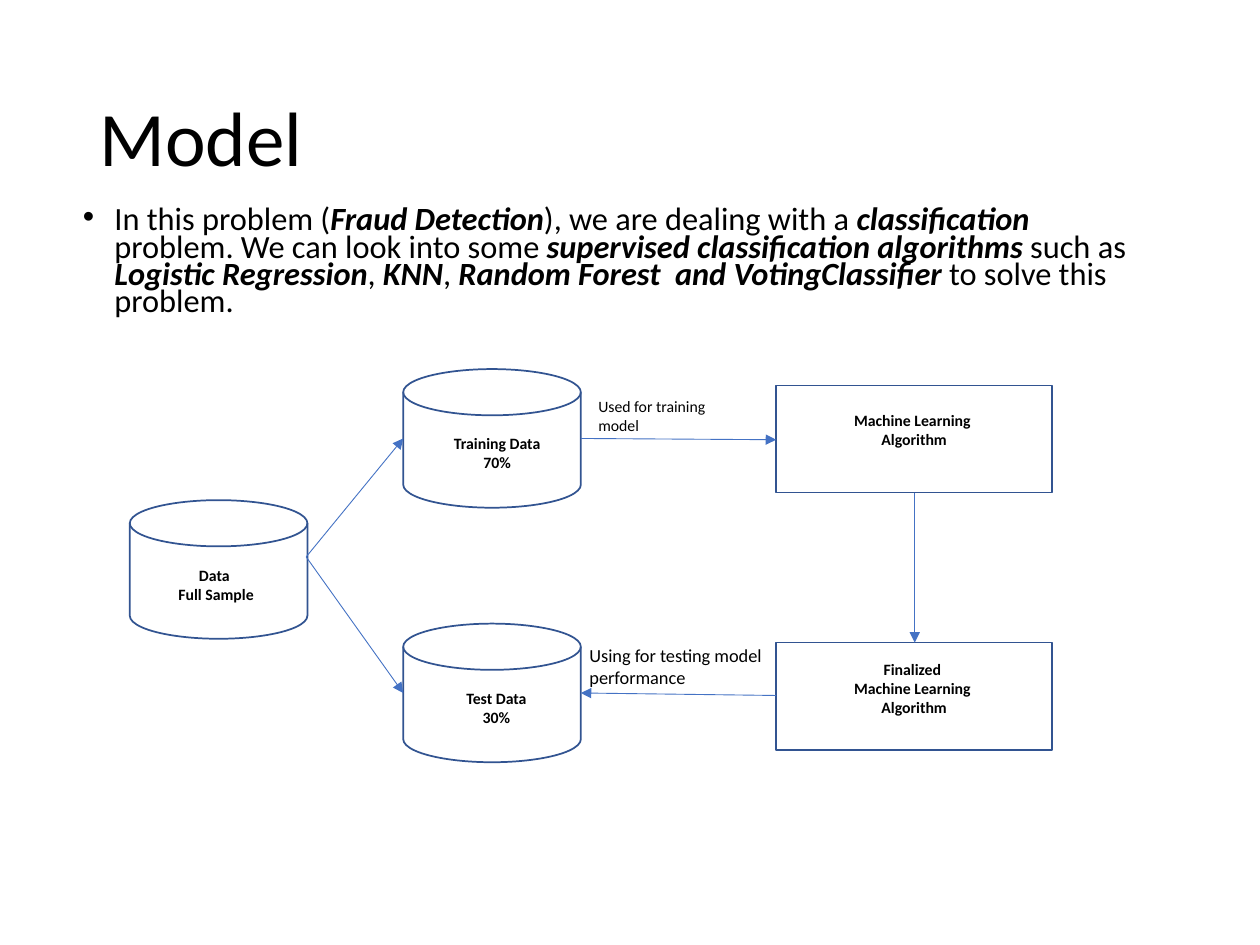
from dataclasses import dataclass

from lxml.etree import SubElement
from pptx import Presentation
from pptx.dml.color import RGBColor
from pptx.enum.shapes import MSO_CONNECTOR, MSO_SHAPE
from pptx.enum.text import MSO_ANCHOR, PP_ALIGN
from pptx.oxml.ns import qn
from pptx.util import Inches, Pt


@dataclass(frozen=True)
class Theme:
    font: str = "Calibri"
    ink: RGBColor = RGBColor(0x00, 0x00, 0x00)
    outline: RGBColor = RGBColor(0x32, 0x54, 0x91)
    arrow: RGBColor = RGBColor(0x44, 0x72, 0xC4)
    title: float = 44
    body: float = 18.5
    note: float = 10.5
    label: float = 9


class SlideBuilder:
    def __init__(self, slide, theme):
        self.shapes = slide.shapes
        self.theme = theme

    def text(self, bounds, paragraphs, size, wrap=True, bold=False,
             anchor=MSO_ANCHOR.TOP, **paragraph_format):
        box = self.shapes.add_textbox(*map(Inches, bounds))
        frame = box.text_frame
        frame.word_wrap = wrap
        frame.vertical_anchor = anchor
        for index, spans in enumerate(paragraphs):
            para = frame.paragraphs[0] if index == 0 else frame.add_paragraph()
            for name, value in paragraph_format.items():
                setattr(para, name, value)
            for content, emphasis in spans:
                span = para.add_run()
                span.text = content
                span.font.color.rgb = self.theme.ink
                font_format = {"name": self.theme.font, "size": Pt(size),
                               "bold": bold or emphasis, "italic": emphasis}
                for name, value in font_format.items():
                    setattr(span.font, name, value)
        return box

    def bullet(self, box, indent):
        for para in box.text_frame.paragraphs:
            properties = para._p.get_or_add_pPr()
            properties.set("marL", str(Inches(indent)))
            properties.set("indent", str(-Inches(indent)))
            SubElement(properties, qn("a:buFont"), typeface="Arial")
            SubElement(properties, qn("a:buChar"), char="•")

    def label(self, bounds, lines):
        self.text(bounds, [[(line, False)] for line in lines], self.theme.label,
                  wrap=False, bold=True, alignment=PP_ALIGN.CENTER)

    def node(self, kind, bounds):
        shape = self.shapes.add_shape(kind, *map(Inches, bounds))
        shape.shadow.inherit = False
        shape.fill.background()
        shape.line.color.rgb = self.theme.outline
        shape.line.width = Pt(1)

    def arrow(self, start, end):
        connector = self.shapes.add_connector(
            MSO_CONNECTOR.STRAIGHT, *map(Inches, start + end))
        connector.line.color.rgb = self.theme.arrow
        connector.line.width = Pt(0.5)
        SubElement(connector.line._get_or_add_ln(), qn("a:tailEnd"), type="triangle")
        SubElement(connector._element.spPr, qn("a:effectLst"))


deck = Presentation()
deck.slide_width, deck.slide_height = Inches(10), Inches(7.5)
theme = Theme()
page = SlideBuilder(deck.slides.add_slide(deck.slide_layouts[6]), theme)

page.text((0.69, 0.4, 8.62, 1.45), [[("Model", False)]], theme.title,
          anchor=MSO_ANCHOR.MIDDLE, line_spacing=0.9)

summary = [
    ("In this problem (", False),
    ("Fraud Detection", True),
    ("), we are dealing with a ", False),
    ("classification", True),
    (" problem. We can look into some ", False),
    ("supervised classification algorithms ", True),
    ("such as ", False),
    ("Logistic Regression", True),
    (", ", False),
    ("KNN", True),
    (", ", False),
    ("Random Forest\u00a0 and VotingClassifier\u00a0", True),
    ("to solve this problem.", False),
]
summary_box = page.text((0.56, 1.61, 8.62, 1.07), [summary], theme.body,
                        line_spacing=0.7, space_before=Pt(10))
page.bullet(summary_box, 0.25)

for left, top in [(1.03, 3.97), (3.2, 2.93), (3.2, 4.95)]:
    page.node(MSO_SHAPE.FLOWCHART_MAGNETIC_DISK, (left, top, 1.41, 1.1))
for top in (3.06, 5.1):
    page.node(MSO_SHAPE.RECTANGLE, (6.16, top, 2.19, 0.85))

labels = [
    ((1.31, 4.44, 0.81, 0.4), ["Data ", "Full Sample"]),
    ((3.49, 3.39, 0.91, 0.4), ["Training Data", "70%"]),
    ((3.59, 5.42, 0.7, 0.4), ["Test Data", "30%"]),
    ((6.67, 3.21, 1.17, 0.4), ["Machine Learning ", "Algorithm"]),
    ((6.67, 5.19, 1.17, 0.56), ["Finalized ", "Machine Learning ", "Algorithm"]),
]
for bounds, lines in labels:
    page.label(bounds, lines)

arrows = [
    ((2.43, 4.42), (3.2, 3.48)),
    ((2.43, 4.42), (3.2, 5.5)),
    ((4.61, 3.48), (6.16, 3.49)),
    ((6.16, 5.52), (4.61, 5.5)),
    ((7.26, 3.91), (7.26, 5.1)),
]
for start, end in arrows:
    page.arrow(start, end)

notes = [
    ((4.65, 3.1, 1.22, 0.4), "Used for training model", theme.label),
    ((4.58, 5.06, 1.58, 0.45), "Using for testing model performance", theme.note),
]
for bounds, content, size in notes:
    page.text(bounds, [[(content, False)]], size)

deck.save("out.pptx")
